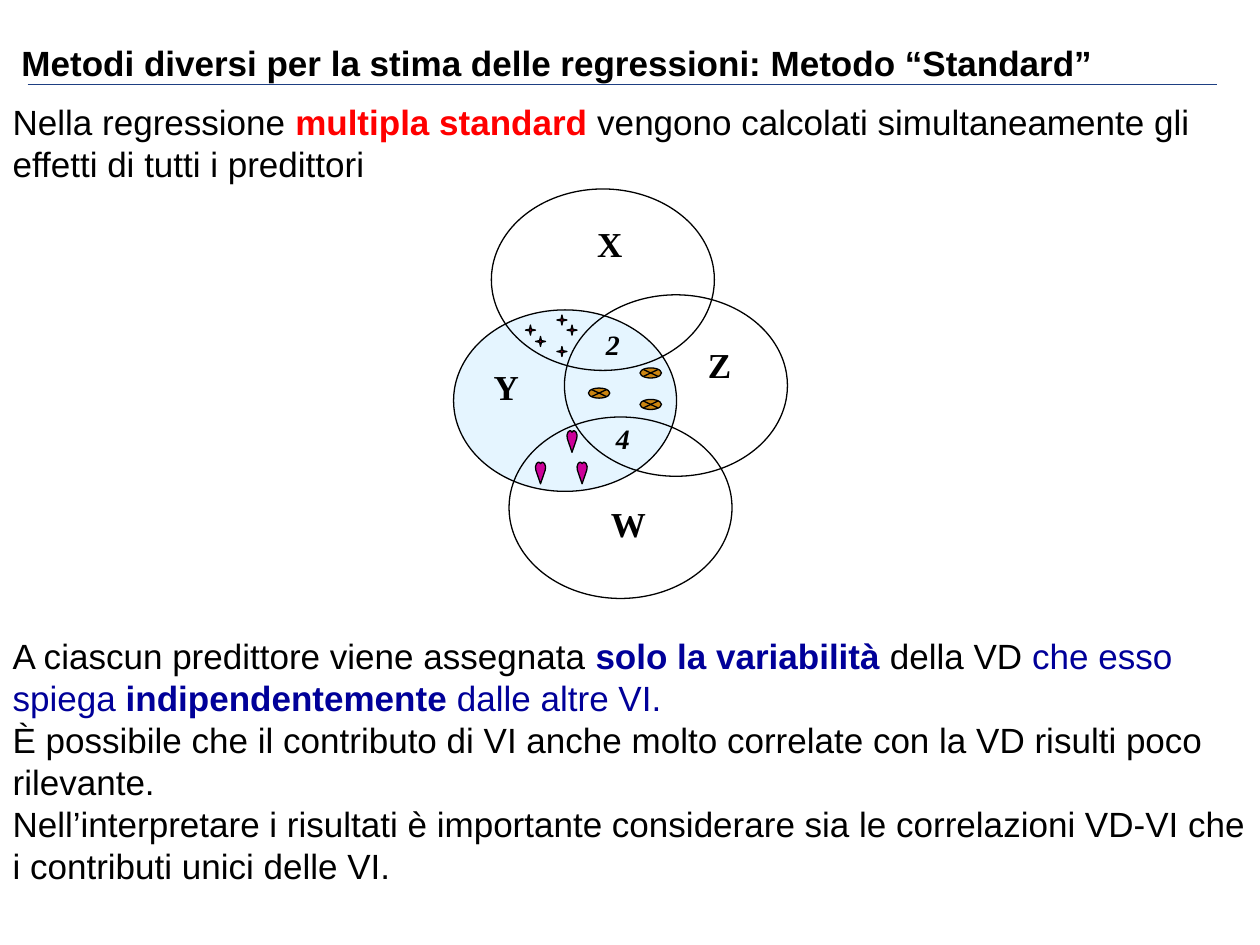
"""Build a slide on the standard method of multiple regression, with a Venn diagram."""
from dataclasses import dataclass
from typing import Any, NamedTuple

from pptx import Presentation
from pptx.dml.color import RGBColor as Color
from pptx.enum.shapes import MSO_CONNECTOR as Connector, MSO_SHAPE as Preset
from pptx.enum.text import MSO_ANCHOR as Anchor, MSO_AUTO_SIZE as AutoSize, PP_ALIGN as Align
from pptx.oxml.ns import qn
from pptx.util import Inches, Pt
from lxml.etree import SubElement


@dataclass(frozen=True)
class Theme:
    """Colours, fonts and type sizes of the slide."""
    ink: str = "000000"
    rule: str = "1E3F82"
    alert: str = "FF0000"
    accent: str = "000099"
    outcome: str = "CCECFF"
    star: str = "A5032D"
    junction: str = "CC8510"
    heart: str = "CC0099"
    sans: str = "Arial"
    serif: str = "Times New Roman"
    text_size: int = 20
    area_size: int = 16
    leading: int = 24
    outline: float = 0.75


class Run(NamedTuple):
    """A stretch of text with its colour and weight."""
    text: str
    color: str
    bold: bool = False


class Mark(NamedTuple):
    """A preset shape with its box and fill."""
    preset: Preset
    left: float
    top: float
    width: float
    height: float
    fill: str | None = None
    alpha: int = 100


class Label(NamedTuple):
    """A letter or number in the diagram."""
    text: str
    left: float
    top: float
    width: float
    height: float = 0.44
    size: int = 20
    italic: bool = False


THEME = Theme()
TITLE = "Metodi diversi per la stima delle regressioni: Metodo “Standard”"
DIAGRAM_GAP = 257
BODY = [
    [Run("Nella regressione ", THEME.ink), Run("multipla standard", THEME.alert, True),
     Run(" vengono calcolati simultaneamente gli effetti di tutti i predittori", THEME.ink)],
    [Run("A ciascun predittore viene assegnata ", THEME.ink),
     Run("solo la variabilità", THEME.accent, True), Run(" della VD ", THEME.ink),
     Run("che esso spiega ", THEME.accent), Run("indipendentemente", THEME.accent, True),
     Run(" dalle altre VI.", THEME.accent)],
    [Run("È possibile che il contributo di VI anche molto correlate con la VD "
         "risulti poco rilevante.", THEME.ink)],
    [Run("Nell’interpretare i risultati è importante considerare sia le correlazioni "
         "VD-VI che i contributi unici delle VI.", THEME.ink)],
]
CIRCLES = [Mark(Preset.OVAL, 3.6, 2.46, 1.77, 1.44, THEME.outcome, 50)] + [
    Mark(Preset.OVAL, left, top, 1.77, 1.44)
    for left, top in [(4.48, 2.34), (3.9, 1.5), (4.04, 3.31)]
]
STARS = [
    Mark(Preset.STAR_4_POINT, left, top, 0.08, 0.08, THEME.star)
    for left, top in [(4.42, 2.5), (4.17, 2.58), (4.5, 2.58), (4.42, 2.75), (4.25, 2.67)]
]
JUNCTIONS = [
    Mark(Preset.FLOWCHART_SUMMING_JUNCTION, left, top, 0.17, 0.08, THEME.junction)
    for left, top in [(5.08, 2.92), (5.08, 3.17), (4.67, 3.08)]
]
HEARTS = [(4.25, 3.67), (4.58, 3.67), (4.5, 3.42)]
HEART_SIZE = (0.08, 0.17)
HEART_OUTLINE = [
    (0.5, 0.06), (0.38, 0), (0.25, 0), (0.1, 0.06), (0, 0.2), (0.03, 0.36),
    (0.5, 1), (0.97, 0.36), (1, 0.2), (0.9, 0.06), (0.75, 0), (0.62, 0),
]
LABELS = [
    Label("Y", 3.82, 2.85, 0.4), Label("X", 4.64, 1.72, 0.4),
    Label("Z", 5.52, 2.68, 0.38), Label("W", 4.75, 3.94, 0.48),
    Label("2", 4.71, 2.55, 0.31, 0.37, THEME.area_size, True),
    Label("4", 4.79, 3.3, 0.31, 0.37, THEME.area_size, True),
]


def apply_format(target: Any, values: dict[str, Any]) -> None:
    """Set each named attribute of the target."""
    for name, value in values.items():
        setattr(target, name, value)


def place(shape: Any, left: float, top: float, width: float, height: float) -> None:
    """Move and size a shape, in inches."""
    box = {"left": left, "top": top, "width": width, "height": height}
    apply_format(shape, {name: Inches(value) for name, value in box.items()})


def add_run(paragraph: Any, run: Run, **font: Any) -> None:
    """Add a formatted run to a paragraph."""
    piece = paragraph.add_run()
    piece.text = run.text
    values = {"name": THEME.sans, "size": Pt(THEME.text_size), "bold": run.bold}
    apply_format(piece.font, values | font)
    piece.font.color.rgb = Color.from_string(run.color)


def fill_title(title: Any) -> None:
    """Format the title placeholder."""
    place(title, 0.17, 0.08, 9.33, 0.58)
    apply_format(title.text_frame, {
        "margin_left": 0, "margin_right": 0, "margin_top": 0, "margin_bottom": 0,
        "vertical_anchor": Anchor.BOTTOM, "word_wrap": True, "auto_size": AutoSize.NONE,
    })
    paragraph = title.text_frame.paragraphs[0]
    paragraph.alignment = Align.LEFT
    add_run(paragraph, Run(TITLE, THEME.ink, True))


def fill_body(body: Any) -> None:
    """Write the paragraphs above and below the diagram."""
    place(body, 0, 0.75, 10, 6)
    frame = body.text_frame
    apply_format(frame, {"word_wrap": True, "auto_size": AutoSize.NONE})
    for index, runs in enumerate(BODY):
        paragraph = frame.add_paragraph() if index else frame.paragraphs[0]
        properties = paragraph._p.get_or_add_pPr()
        properties.set("marL", "0")
        properties.set("indent", "0")
        SubElement(properties, qn("a:buNone"))
        apply_format(paragraph, {
            "alignment": Align.LEFT, "line_spacing": Pt(THEME.leading),
            "space_before": Pt(DIAGRAM_GAP if index == 1 else 0), "space_after": Pt(0),
        })
        for run in runs:
            add_run(paragraph, run)


def paint(shape: Any, fill: str | None, alpha: int = 100) -> None:
    """Give a shape its fill and thin outline, without a shadow."""
    shape.shadow.inherit = False
    shape.line.color.rgb = Color.from_string(THEME.ink)
    shape.line.width = Pt(THEME.outline)
    if fill is None:
        shape.fill.background()
        return
    shape.fill.solid()
    shape.fill.fore_color.rgb = Color.from_string(fill)
    if alpha < 100:
        color = shape._element.spPr.find(qn("a:solidFill"))[0]
        SubElement(color, qn("a:alpha"), val=str(alpha * 1000))


def draw_mark(shapes: Any, mark: Mark) -> None:
    """Draw a preset shape."""
    box = (Inches(value) for value in mark[1:5])
    paint(shapes.add_shape(mark.preset, *box), mark.fill, mark.alpha)


def draw_heart(shapes: Any, left: float, top: float) -> None:
    """Draw a narrow heart."""
    width, height = HEART_SIZE
    points = [(Inches(left + x * width), Inches(top + y * height)) for x, y in HEART_OUTLINE]
    builder = shapes.build_freeform(*points[0])
    builder.add_line_segments(points[1:], close=True)
    paint(builder.convert_to_shape(), THEME.heart)


def draw_label(shapes: Any, label: Label) -> None:
    """Write a letter or number in the diagram."""
    frame = shapes.add_textbox(*(Inches(value) for value in label[1:5])).text_frame
    apply_format(frame, {"word_wrap": False, "auto_size": AutoSize.SHAPE_TO_FIT_TEXT})
    add_run(frame.paragraphs[0], Run(label.text, THEME.ink, True),
            name=THEME.serif, size=Pt(label.size), italic=label.italic)


def draw_rule(shapes: Any) -> None:
    """Draw the line under the title."""
    ends = (Inches(value) for value in (0.22, 0.67, 9.66, 0.67))
    rule = shapes.add_connector(Connector.STRAIGHT, *ends)
    rule.line.color.rgb = Color.from_string(THEME.rule)
    rule.line.width = Pt(1)
    SubElement(rule._element.spPr, qn("a:effectLst"))


def main() -> None:
    """Build and save the presentation."""
    presentation = Presentation()
    apply_format(presentation, {"slide_width": Inches(10), "slide_height": Inches(7.5)})
    slide = presentation.slides.add_slide(presentation.slide_layouts[1])
    shapes = slide.shapes
    fill_title(shapes.title)
    fill_body(slide.placeholders[1])
    draw_rule(shapes)
    for mark in CIRCLES + STARS + JUNCTIONS:
        draw_mark(shapes, mark)
    for left, top in HEARTS:
        draw_heart(shapes, left, top)
    for label in LABELS:
        draw_label(shapes, label)
    presentation.save("out.pptx")


if __name__ == "__main__":
    main()
